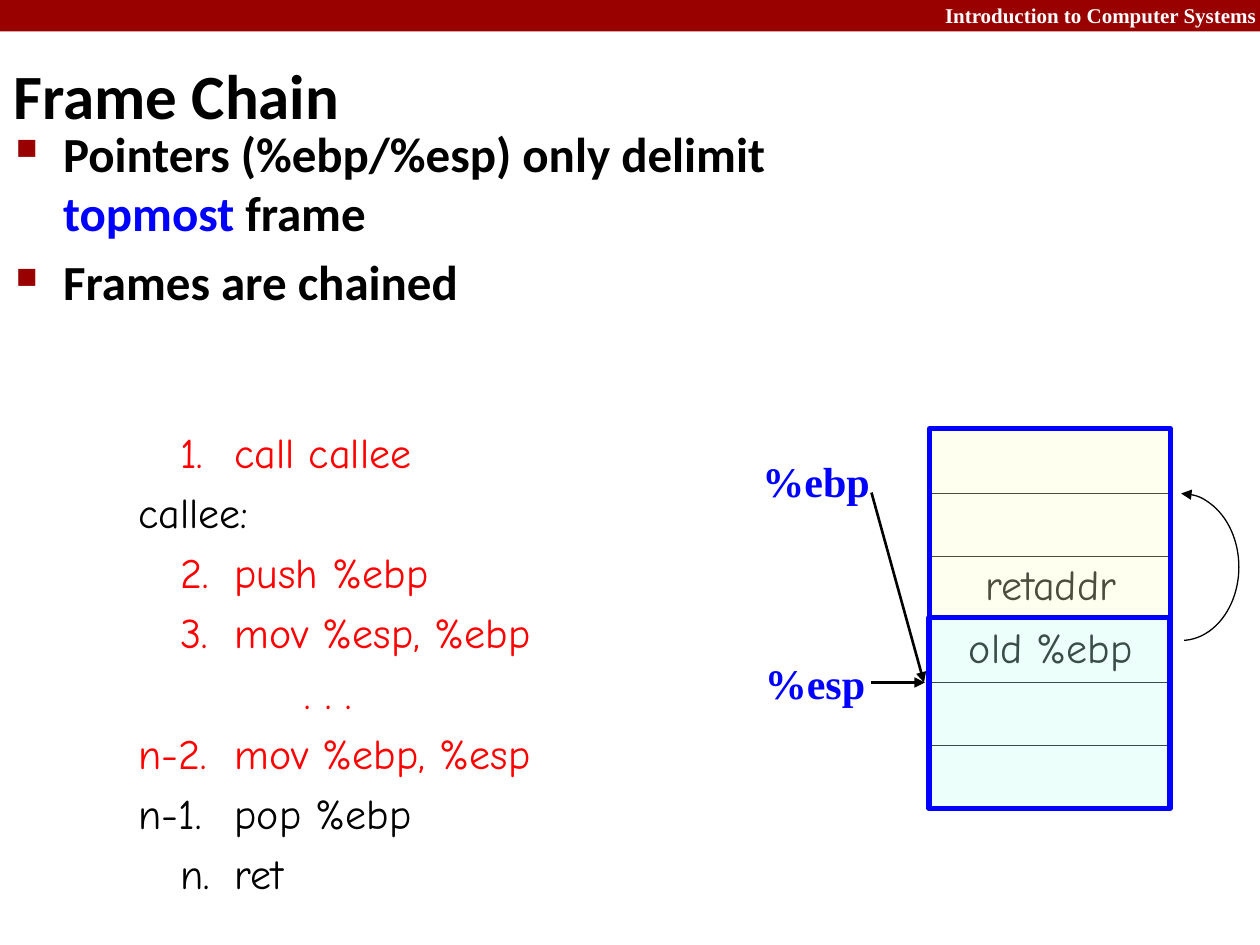
"""Builds the Frame Chain slide: call steps beside a stack diagram."""
import pptx
import pptx.util
import pptx.dml.color
import pptx.enum.shapes
import pptx.enum.text
import pptx.oxml
import pptx.oxml.ns

Pt = pptx.util.Pt
Kind = pptx.enum.shapes.MSO_SHAPE
Align = pptx.enum.text.PP_ALIGN
Mid = pptx.enum.text.MSO_ANCHOR.MIDDLE
SPACE = pptx.oxml.ns.nsdecls("a")
RED, BLUE, BLACK, WHITE, DARK = "FF0000", "0000FF", "000000", "FFFFFF", "990000"


def color(text):
    return pptx.dml.color.RGBColor.from_string(text)


def add(parent, tag, inner="", **attrs):
    words = " ".join(f'{key}="{val}"' for key, val in attrs.items())
    parent.append(pptx.oxml.parse_xml(f"<a:{tag} {SPACE} {words}>{inner}</a:{tag}>"))


class Maker:
    """Holds the style and the current slide, with a method per kind of element."""
    serif, sans, hand = "Times New Roman", "Calibri", "Comic Neue"

    def __init__(self, slide):
        self.slide = slide
        self.items = slide.shapes

    def font(self, para, face, size, tint=None, bold=False):
        font = para.font
        font.name, font.size, font.bold = face, Pt(size), bold
        if tint:
            font.color.rgb = color(tint)

    def box(self, x, y, w, h, wrap=True):
        frame = self.items.add_textbox(Pt(x), Pt(y), Pt(w), Pt(h)).text_frame
        frame.word_wrap = wrap
        return frame

    def label(self, text, at, face, size, tint, align=Align.LEFT, wrap=True):
        frame = self.box(*at, wrap)
        para = frame.paragraphs[0]
        para.text, para.alignment = text, align
        self.font(para, face, size, tint, True)
        return frame

    def paras(self, frame, rows, gap):
        for num, row in enumerate(rows):
            para = frame.add_paragraph() if num else frame.paragraphs[0]
            if num:
                para.space_before = Pt(gap)
            yield para, row

    def indent(self, para, left, first):
        props = para._p.get_or_add_pPr()
        props.set("marL", str(Pt(left)))
        props.set("indent", str(Pt(first - left)))
        return props

    def bullets(self, at, rows):
        for para, runs in self.paras(self.box(*at), rows, 6):
            props = self.indent(para, 27, 0)
            add(props, "buClr", f'<a:srgbClr val="{DARK}"/>')
            add(props, "buSzPct", val=60000)
            add(props, "buChar", char="■")
            self.font(para, self.sans, 28, bold=True)
            for text, tint in runs:
                run = para.add_run()
                run.text = text
                run.font.color.rgb = color(tint)

    def code(self, at, rows):
        for para, (text, tint, left, first) in self.paras(self.box(*at), rows, 5.6):
            self.indent(para, left, first)
            para.text = text
            self.font(para, self.hand, 24, tint)

    def shape(self, kind, at, fill=None, alpha=100, line=None, width=1):
        shape = self.items.add_shape(kind, *map(Pt, at))
        shape.shadow.inherit = False
        if fill:
            shape.fill.solid()
            shape.fill.fore_color.rgb = color(fill)
            if alpha < 100:
                tint = shape._element.spPr.find(".//" + pptx.oxml.ns.qn("a:srgbClr"))
                add(tint, "alpha", val=alpha * 1000)
        else:
            shape.fill.background()
        if line:
            self.stroke(shape, line, width)
        else:
            shape.line.fill.background()
        return shape

    def stroke(self, shape, tint, width):
        shape.line.color.rgb = color(tint)
        shape.line.width = Pt(width)

    def tip(self, shape, end):
        add(shape._element.spPr.find(pptx.oxml.ns.qn("a:ln")), end, type="triangle")

    def arrow(self, x, y, right, low):
        kind = pptx.enum.shapes.MSO_CONNECTOR.STRAIGHT
        line = self.items.add_connector(kind, Pt(x), Pt(y), Pt(right), Pt(low))
        self.stroke(line, BLACK, 1.5)
        self.tip(line, "tailEnd")
        add(line._element.spPr, "effectLst")

    def arc(self, at, start, end):
        arc = self.shape(Kind.ARC, at, line=BLACK, width=0.75)
        arc.adjustments[0], arc.adjustments[1] = start, end
        self.tip(arc, "headEnd")

    def stack(self, at, rows):
        table = self.items.add_table(len(rows), 1, *map(Pt, at)).table
        table.first_row = table.horz_banding = False
        ink = f'<a:solidFill><a:srgbClr val="{BLACK}"/></a:solidFill>'
        for num, text in enumerate(rows):
            cell = table.cell(num, 0)
            props = cell._tc.get_or_add_tcPr()
            for side, width in zip("LRTB", (2.25, 2.25, 1, 1)):
                add(props, f"ln{side}", ink, w=Pt(width))
            cell.fill.solid()
            cell.fill.fore_color.rgb = color(WHITE)
            if text:
                para = cell.text_frame.paragraphs[0]
                para.text, para.alignment = text, Align.CENTER
                self.font(para, self.hand, 24, BLACK)


def main():
    deck = pptx.Presentation()
    deck.slide_width, deck.slide_height = Pt(720), Pt(540)
    make = Maker(deck.slides.add_slide(deck.slide_layouts[6]))

    make.shape(Kind.RECTANGLE, (0, 0, 720, 18), DARK)
    make.label("Introduction to Computer Systems", (432, -2, 293, 22),
               make.serif, 12, WHITE, Align.RIGHT)

    make.stack((531.4, 246, 138, 216), ["", "", "retaddr", "old %ebp", "", ""])
    make.shape(Kind.RECTANGLE, (530.8, 353, 137.8, 109), "C2FFF0", 30, BLUE, 3)
    make.shape(Kind.RECTANGLE, (531.2, 245, 137.6, 108), "FFFFCC", 30, BLUE, 3)

    title = make.label("Frame Chain", (0.7, 24, 598, 60), make.sans, 36, BLACK)
    title.vertical_anchor = Mid
    make.bullets((2, 67, 477, 120), [
        [("Pointers (%ebp/%esp) only delimit ", BLACK), ("topmost ", BLUE),
         ("frame", BLACK)],
        [("Frames are chained", BLACK)]])

    make.label("%ebp", (428.6, 257, 76, 37), make.serif, 24, BLUE, wrap=False)
    make.arrow(498, 281.5, 528, 390)
    make.label("%esp", (430, 372, 73, 37), make.serif, 24, BLUE, wrap=False)
    make.arrow(498, 390, 528.5, 390)

    side, step, word, dots = 36, 60, 91, 131
    make.code((36, 240, 360, 281), [
        ("1.\tcall callee", RED, word, step),
        ("callee:", BLACK, side, side),
        ("2.\tpush %ebp", RED, word, step),
        ("3.\tmov %esp, %ebp", RED, word, step),
        (". . .", RED, dots, dots),
        ("n-2.\tmov %ebp, %esp", RED, word, side),
        ("n-1.\tpop %ebp", BLACK, word, side),
        ("n.\tret", BLACK, word, step)])
    make.arc((642, 282, 66, 84), 162, 52.61)
    deck.save("out.pptx")


if __name__ == "__main__":
    main()
